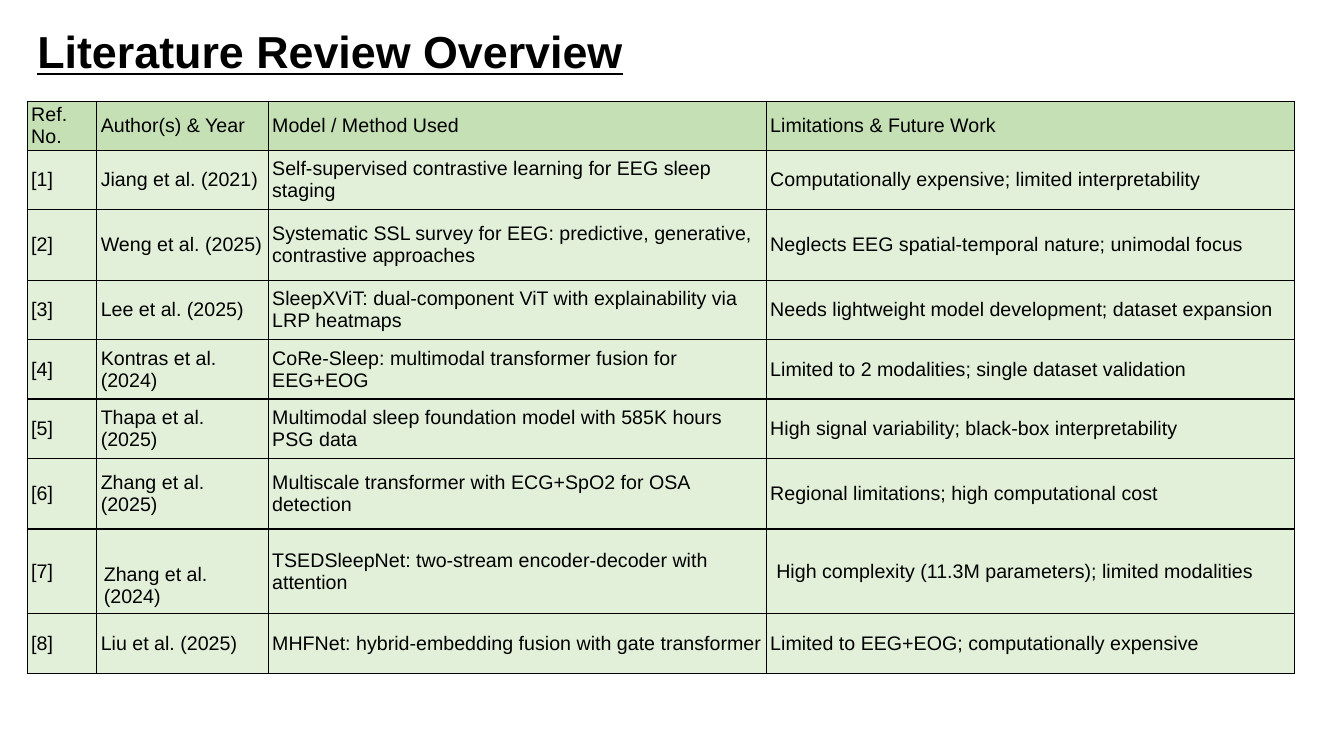
from dataclasses import dataclass

from lxml import etree
from pptx import Presentation
from pptx.dml.color import RGBColor
from pptx.enum.text import MSO_ANCHOR
from pptx.oxml.ns import qn
from pptx.util import Inches, Pt

MIDDLE = MSO_ANCHOR.MIDDLE

TITLE = "Literature Review Overview"
HEADER = ("Ref. No.", "Author(s) & Year", "Model / Method Used", "Limitations & Future Work")
STUDIES = [
    ("Jiang et al. (2021)", "Self-supervised contrastive learning for EEG sleep staging",
     "Computationally expensive; limited interpretability"),
    ("Weng et al. (2025)",
     "Systematic SSL survey for EEG: predictive, generative, contrastive approaches",
     "Neglects EEG spatial-temporal nature; unimodal focus"),
    ("Lee et al. (2025)", "SleepXViT: dual-component ViT with explainability via LRP heatmaps",
     "Needs lightweight model development; dataset expansion"),
    ("Kontras et al. (2024)", "CoRe-Sleep: multimodal transformer fusion for EEG+EOG",
     "Limited to 2 modalities; single dataset validation"),
    ("Thapa et al. (2025)", "Multimodal sleep foundation model with 585K hours PSG data",
     "High signal variability; black-box interpretability"),
    ("Zhang et al. (2025)", "Multiscale transformer with ECG+SpO2 for OSA detection",
     "Regional limitations; high computational cost"),
    ("Zhang et al. (2024)", "TSEDSleepNet: two-stream encoder-decoder with attention",
     "High complexity (11.3M parameters); limited modalities"),
    ("Liu et al. (2025)", "MHFNet: hybrid-embedding fusion with gate transformer",
     "Limited to EEG+EOG; computationally expensive"),
]

COLUMN_WIDTHS = (0.69, 1.7, 4.94, 5.24)
ROW_HEIGHTS = (0.48, 0.59, 0.7, 0.59, 0.59, 0.59, 0.7, 0.84, 0.59)
# Cell margins: left, top, right, bottom
MARGINS = (0.04, 0.02, 0.04, 0.02)
SPECIAL_MARGINS = {(7, 1): (0.07, 0.34, 0.07, 0.05), (7, 3): (0.1, 0.05, 0.1, 0.05)}


@dataclass(frozen=True)
class Theme:
    font: str = "Arial"
    text: str = "000000"
    border: str = "000000"
    header_fill: str = "C5E0B4"
    body_fill: str = "E2F0D9"
    title_size: int = 32
    table_size: int = 14
    border_width: int = 1


THEME = Theme()


def add_span(para, text, size, **emphasis):
    span = para.add_run()
    span.text = text
    span.font.name = THEME.font
    span.font.size = Pt(size)
    span.font.color.rgb = RGBColor.from_string(THEME.text)
    for name, value in emphasis.items():
        setattr(span.font, name, value)


def add_borders(cell):
    """Draw all four cell borders, placed ahead of the fill as the schema asks."""
    properties = cell._tc.get_or_add_tcPr()
    for position, side in enumerate(("lnL", "lnR", "lnT", "lnB")):
        line = etree.Element(qn(f"a:{side}"), w=str(Pt(THEME.border_width)))
        fill = etree.SubElement(line, qn("a:solidFill"))
        etree.SubElement(fill, qn("a:srgbClr"), val=THEME.border)
        properties.insert(position, line)


def fill_cell(cell, text, color, margins):
    cell.vertical_anchor = MIDDLE
    (cell.margin_left, cell.margin_top,
     cell.margin_right, cell.margin_bottom) = map(Inches, margins)
    cell.fill.solid()
    cell.fill.fore_color.rgb = RGBColor.from_string(color)
    add_borders(cell)
    add_span(cell.text_frame.paragraphs[0], text, THEME.table_size)


def add_title(page):
    title = page.shapes.title
    title.left, title.top, title.width, title.height = map(Inches, (0.27, 0.3, 12.15, 0.48))
    title.text_frame.vertical_anchor = MIDDLE
    para = title.text_frame.paragraphs[0]
    para.alignment = 1
    para.line_spacing = 0.9
    add_span(para, TITLE, THEME.title_size, bold=True, underline=True)


def add_review_table(page):
    rows = [HEADER] + [(f"[{number}]", *study) for number, study in enumerate(STUDIES, 1)]
    table = page.shapes.add_table(
        len(rows), len(HEADER), Inches(0.27), Inches(1.01),
        Inches(sum(COLUMN_WIDTHS)), Inches(sum(ROW_HEIGHTS))).table
    table.horz_banding = False
    table.first_row = False
    for column, width in zip(table.columns, COLUMN_WIDTHS):
        column.width = Inches(width)
    for r, (row, height) in enumerate(zip(rows, ROW_HEIGHTS)):
        table.rows[r].height = Inches(height)
        color = THEME.body_fill if r else THEME.header_fill
        for c, text in enumerate(row):
            fill_cell(table.cell(r, c), text, color, SPECIAL_MARGINS.get((r, c), MARGINS))


def main():
    deck = Presentation()
    deck.slide_width, deck.slide_height = Inches(13.33), Inches(7.5)
    page = deck.slides.add_slide(deck.slide_layouts[5])
    add_title(page)
    add_review_table(page)
    deck.save("out.pptx")


if __name__ == "__main__":
    main()
